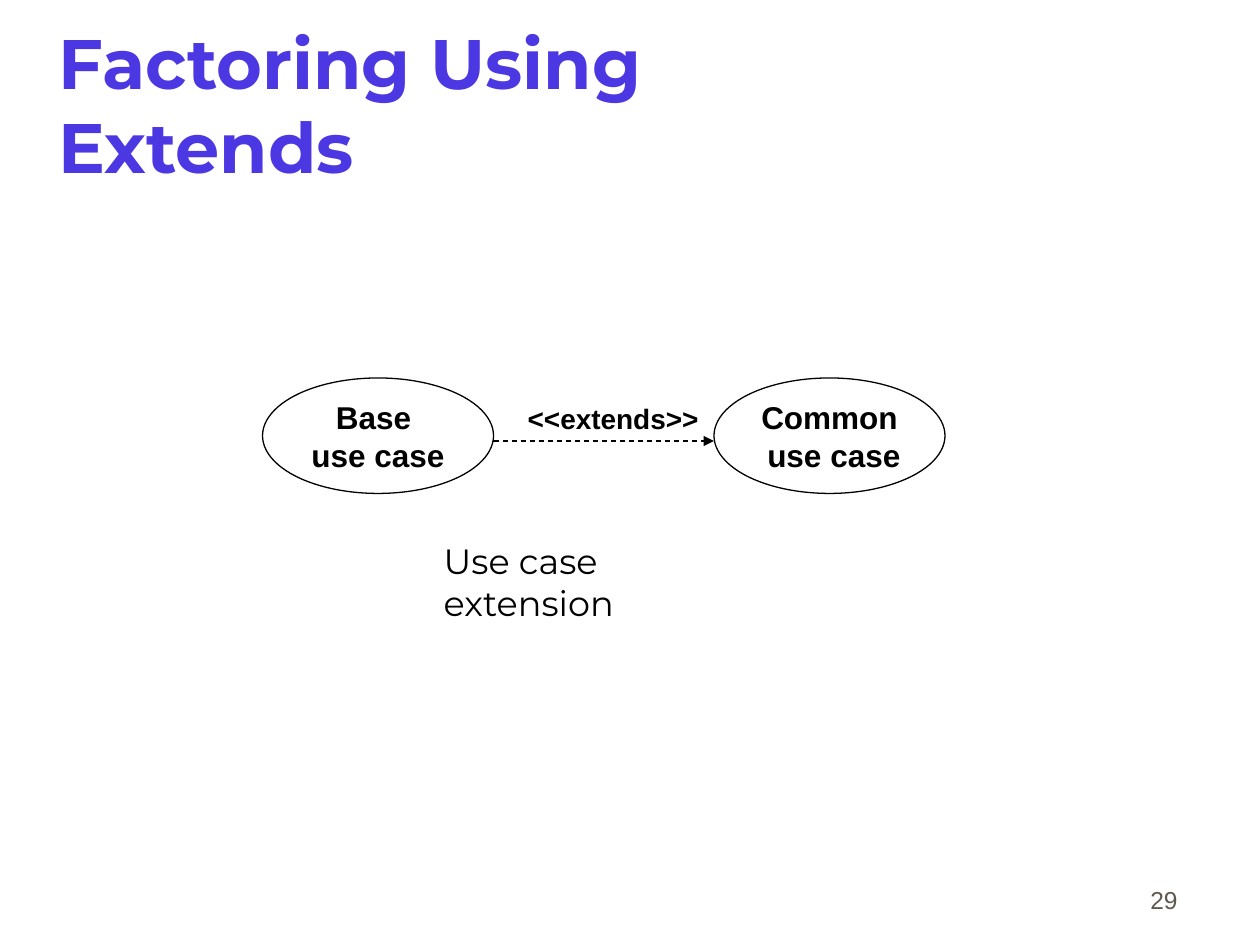
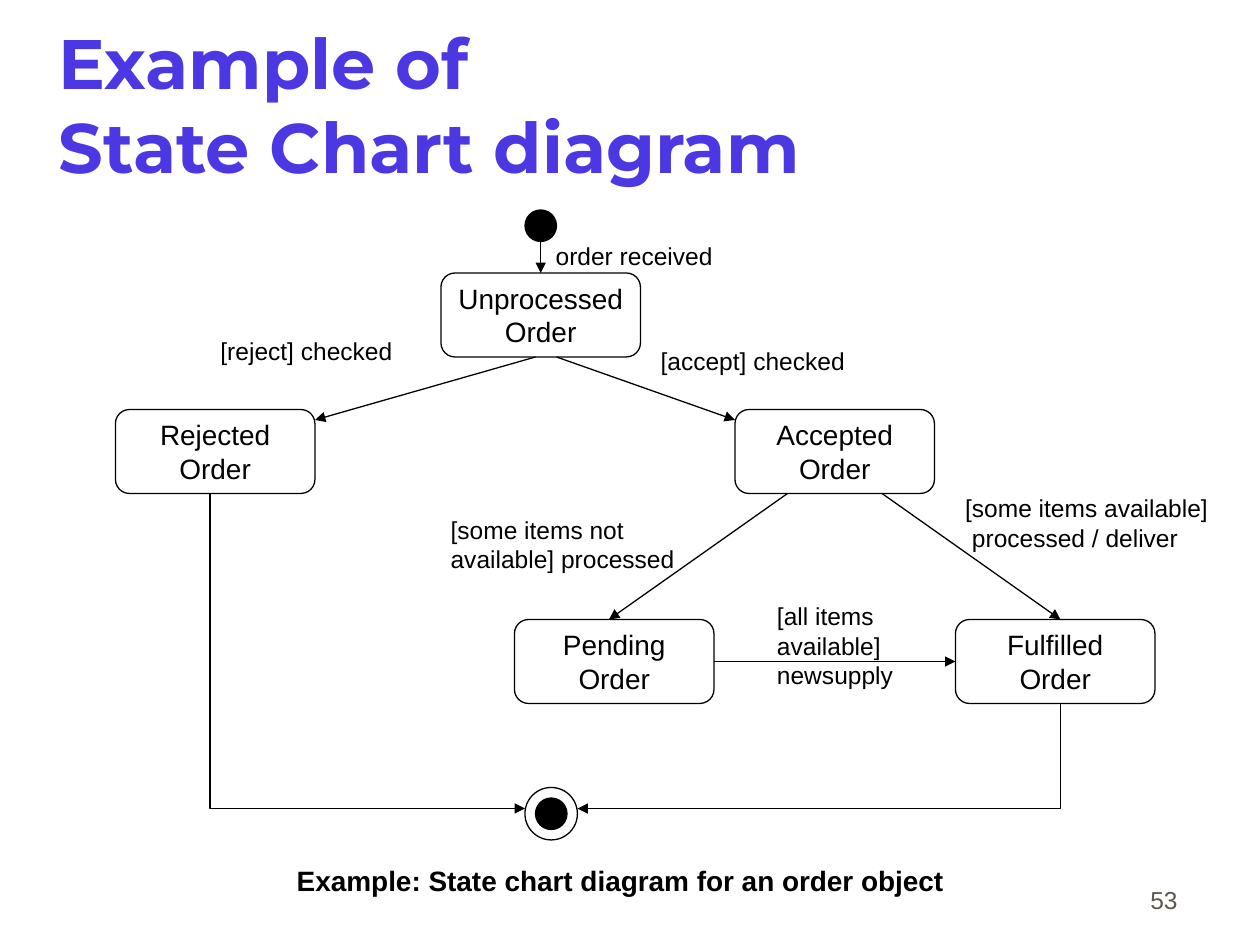
from dataclasses import dataclass

from lxml.etree import SubElement
from pptx import Presentation
from pptx.dml.color import RGBColor
from pptx.enum.dml import MSO_LINE
from pptx.enum.shapes import MSO_CONNECTOR, MSO_SHAPE
from pptx.enum.text import MSO_ANCHOR, PP_ALIGN
from pptx.oxml.ns import qn
from pptx.util import Pt


@dataclass(frozen=True)
class Theme:
    title_color: RGBColor = RGBColor(0x4C, 0x38, 0xE2)
    ink: RGBColor = RGBColor(0, 0, 0)
    number_color: RGBColor = RGBColor(0x5E, 0x57, 0x4E)
    title_font: str = "Montserrat"
    body_font: str = "Arial"
    title: int = 40
    note: int = 20
    use_case: int = 18
    state: int = 16
    label: int = 14
    line: float = 0.75


T = Theme()
PADDED = (7.2, 3.6)  # side and top insets

# Content: "\v" breaks a line, "\n" starts a paragraph
EXTENDS_TITLE, EXTENDS_NUMBER = "Factoring Using\vExtends", "29"
USE_CASES = [("Base \nuse case", 150), ("Common\n use case", 408)]
EXTENDS_LABEL = "<<extends>>"
EXTENDS_NOTE = "Use case\vextension"

STATE_TITLE, STATE_NUMBER = "Example of \vState Chart diagram", "53"
CAPTION = "Example: State chart diagram for an order object"
STATES = {  # name: left, top
    "Unprocessed": (252, 156),
    "Fulfilled": (546, 354),
    "Pending": (294, 354),
    "Accepted": (420, 234),
    "Rejected": (66, 234),
}
TRANSITIONS = [  # start, end
    ((306, 204), (180, 240)),
    ((318, 204), (420, 240)),
    ((450, 282), (348, 354)),
    ((504, 282), (606, 354)),
]
FINAL_PATHS = [  # corner points from a state to the final state
    [(120, 282), (120, 462), (300, 462)],
    [(606, 402), (606, 462), (330, 462)],
]
LABELS = [  # text, left, top, width
    ("order received", 317.5, 138, 93),
    ("[reject] checked", 126, 192, 102),
    ("[accept] checked", 377.5, 197.5, 112),
    ("[some items not\navailable] processed", 257.5, 294, 131),
    ("[all items\navailable]\nnewsupply", 444, 343.5, 70),
    ("[some items available]\n processed / deliver", 551.5, 282, 142),
]

# Sizes shared by repeated parts
USE_CASE_SIZE = (132, 66)
STATE_SIZE = (114, 48)
DOT = 18
RING = 30


def write(shape, text, size, color=T.ink, font=T.body_font, bold=False,
          align=PP_ALIGN.LEFT, anchor=MSO_ANCHOR.TOP, insets=PADDED, wrap=False):
    tf = shape.text_frame
    tf.text = text
    tf.word_wrap = wrap
    tf.vertical_anchor = anchor
    tf.margin_left = tf.margin_right = Pt(insets[0])
    tf.margin_top = tf.margin_bottom = Pt(insets[1])
    for p in tf.paragraphs:
        p.alignment = align
        for r in p.runs:
            r.font.name, r.font.size, r.font.bold = font, Pt(size), bold
            r.font.color.rgb = color


def add_text(s, text, box, size, **style):
    write(s.shapes.add_textbox(*map(Pt, box)), text, size, **style)


def outline(shape):
    shape.line.color.rgb = T.ink
    shape.line.width = Pt(T.line)


def add_node(s, kind, box, filled=False):
    sp = s.shapes.add_shape(kind, *map(Pt, box))
    sp.shadow.inherit = False
    outline(sp)
    if filled:
        sp.fill.solid()
        sp.fill.fore_color.rgb = T.ink
    else:
        sp.fill.background()
    return sp


def add_arrowhead(shape):
    SubElement(shape.line._get_or_add_ln(), qn("a:tailEnd"), type="triangle")


def add_arrow(s, start, end, dashed=False, source=None, target=None):
    c = s.shapes.add_connector(MSO_CONNECTOR.STRAIGHT, *map(Pt, start + end))
    if source:
        c.begin_connect(*source)
    if target:
        c.end_connect(*target)
    outline(c)
    if dashed:
        c.line.dash_style = MSO_LINE.DASH
    add_arrowhead(c)
    SubElement(c._element.spPr, qn("a:effectLst"))


def add_path(s, points):
    points = [(Pt(x), Pt(y)) for x, y in points]
    builder = s.shapes.build_freeform(*points[0])
    builder.add_line_segments(points[1:], close=False)
    sp = builder.convert_to_shape()
    sp.shadow.inherit = False
    sp.fill.background()
    outline(sp)
    add_arrowhead(sp)


def new_slide(prs, title, number):
    s = prs.slides.add_slide(prs.slide_layouts[6])
    add_text(s, number, (530, 490, 150, 36), T.label, color=T.number_color,
             align=PP_ALIGN.RIGHT, anchor=MSO_ANCHOR.BOTTOM, wrap=True)
    add_text(s, title, (32, 14, 612, 90), T.title, color=T.title_color,
             font=T.title_font, bold=True, anchor=MSO_ANCHOR.MIDDLE,
             insets=(1.44, 3.6), wrap=True)
    return s


def extends_slide(prs):
    s = new_slide(prs, EXTENDS_TITLE, EXTENDS_NUMBER)
    for text, left in USE_CASES:
        sp = add_node(s, MSO_SHAPE.OVAL, (left, 216, *USE_CASE_SIZE))
        write(sp, text, T.use_case, bold=True, align=PP_ALIGN.CENTER,
              anchor=MSO_ANCHOR.MIDDLE)
    base_left, common_left = (left for _, left in USE_CASES)
    add_arrow(s, (base_left + USE_CASE_SIZE[0], 252), (common_left, 252), dashed=True)
    add_text(s, EXTENDS_LABEL, (294.5, 226, 116, 26.5), T.state, bold=True)
    add_text(s, EXTENDS_NOTE, (246.5, 304.5, 194, 56), T.note,
             font=T.title_font, wrap=True)


def state_slide(prs):
    s = new_slide(prs, STATE_TITLE, STATE_NUMBER)

    # States
    nodes = {}
    for name, place in STATES.items():
        sp = nodes[name] = add_node(s, MSO_SHAPE.ROUNDED_RECTANGLE, place + STATE_SIZE)
        write(sp, name + "\nOrder", T.state, align=PP_ALIGN.CENTER,
              anchor=MSO_ANCHOR.MIDDLE)

    # Initial and final markers
    add_node(s, MSO_SHAPE.OVAL, (300, 120, DOT, DOT), filled=True)
    gap = (RING - DOT) / 2
    add_node(s, MSO_SHAPE.OVAL, (300 + gap, 450 + gap, DOT, DOT), filled=True)
    add_node(s, MSO_SHAPE.OVAL, (300, 450, RING, RING))

    # Transitions
    for points in FINAL_PATHS:
        add_path(s, points)
    for start, end in TRANSITIONS:
        add_arrow(s, start, end)
    add_arrow(s, (408, 378), (546, 378),
              source=(nodes["Pending"], 3), target=(nodes["Fulfilled"], 1))
    add_arrow(s, (309, 138), (309, 156), target=(nodes["Unprocessed"], 0))

    # Labels and caption
    for text, left, top, width in LABELS:
        height = 16.8 * (text.count("\n") + 1)
        add_text(s, text, (left, top, width, height), T.label, insets=(0, 0))
    add_text(s, CAPTION, (162.5, 490, 388, 26.5), T.state, bold=True)


def main():
    prs = Presentation()
    prs.slide_width, prs.slide_height = Pt(720), Pt(540)
    extends_slide(prs)
    state_slide(prs)
    prs.save("out.pptx")


if __name__ == "__main__":
    main()
